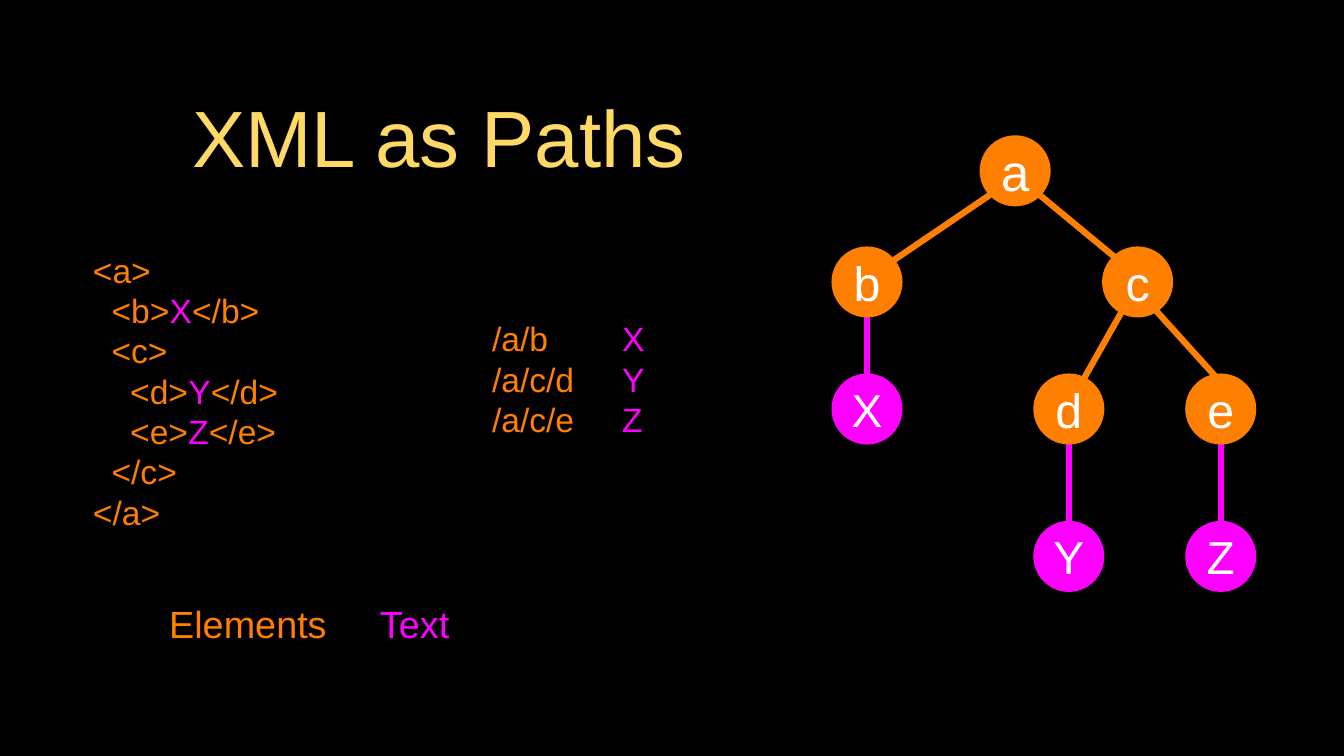
from pptx import Presentation
from pptx.dml.color import RGBColor
from pptx.enum.shapes import MSO_CONNECTOR, MSO_SHAPE
from pptx.enum.text import MSO_ANCHOR, PP_ALIGN
from pptx.oxml.ns import qn
from pptx.util import Inches, Pt

CIRCLE = MSO_SHAPE.OVAL
STRAIGHT = MSO_CONNECTOR.STRAIGHT
MIDDLE = MSO_ANCHOR.MIDDLE
LEFT, CENTER = PP_ALIGN.LEFT, PP_ALIGN.CENTER

BLACK, WHITE, GOLD = "000000", "FFFFFF", "FFD966"
ELEMENT, TEXT = "FF7F00", "FF00FF"
FONT = "Arial"
NODE = 0.94

CODE = [
    [("<a>", ELEMENT)],
    [("  <b>", ELEMENT), ("X", TEXT), ("</b>", ELEMENT)],
    [("  <c>", ELEMENT)],
    [("    <d>", ELEMENT), ("Y", TEXT), ("</d>", ELEMENT)],
    [("    <e>", ELEMENT), ("Z", TEXT), ("</e>", ELEMENT)],
    [("  </c>", ELEMENT)],
    [("</a>", ELEMENT)],
]
PATHS = [("/a/b", "X"), ("/a/c/d", "Y"), ("/a/c/e", "Z")]

# label: left, top, font size, colour
NODES = {
    "a": (12.96, 1.79, 49, ELEMENT),
    "b": (11, 3.26, 46, ELEMENT),
    "c": (14.58, 3.26, 46, ELEMENT),
    "X": (11, 4.94, 44, TEXT),
    "d": (13.67, 4.94, 46, ELEMENT),
    "e": (15.68, 4.94, 46, ELEMENT),
    "Y": (13.67, 6.89, 44, TEXT),
    "Z": (15.68, 6.89, 44, TEXT),
}
# x, top, bottom
LEAF_LINES = [(11.47, 4.03, 5.16), (14.14, 5.8, 6.93), (16.15, 5.8, 6.93)]
BRANCHES = [
    (13.27, 2.46, 11.68, 3.54),
    (13.67, 2.51, 14.83, 3.47),
    (14.87, 4.07, 14.27, 5.13),
    (15.24, 4.05, 16.08, 4.98),
]


def rgb(color):
    return RGBColor.from_string(color)


def write(shape, lines, size, align=CENTER, inset=0, tab=None):
    """Fill a shape with lines, each a list of (text, colour) runs."""
    tf = shape.text_frame
    frame = {"word_wrap": True, "vertical_anchor": MIDDLE}
    for side in ("left", "top", "right", "bottom"):
        frame["margin_" + side] = Inches(inset)
    for name, value in frame.items():
        setattr(tf, name, value)
    for i, line in enumerate(lines):
        p = tf.add_paragraph() if i else tf.paragraphs[0]
        if tab:
            add_tab(p, tab)
        p.alignment = align
        p.line_spacing = Pt(size * 1.2)
        for text, color in line:
            r = p.add_run()
            r.text = text
            for name, value in {"name": FONT, "size": Pt(size)}.items():
                setattr(r.font, name, value)
            r.font.color.rgb = rgb(color)


def add_tab(p, position):
    tabs = p._p.get_or_add_pPr().makeelement(qn("a:tabLst"), {})
    tab = tabs.makeelement(qn("a:tab"), {"pos": str(Inches(position)), "algn": "l"})
    tabs.append(tab)
    p._p.get_or_add_pPr().append(tabs)


def add_title(s, text):
    title = s.shapes.title
    box = {"left": 1.26, "top": 0.83, "width": 9.1, "height": 1.94}
    for name, value in box.items():
        setattr(title, name, Inches(value))
    write(title, [[(text, GOLD)]], 76, inset=0.04)


def add_text(s, box, lines, size, **options):
    write(s.shapes.add_textbox(*map(Inches, box)), lines, size, **options)


def add_line(tree, x1, y1, x2, y2, color):
    line = tree.shapes.add_connector(STRAIGHT, *map(Inches, (x1, y1, x2, y2)))
    line.line.color.rgb = rgb(color)
    line.line.width = Pt(6)
    sp_pr = line._element.spPr
    sp_pr.append(sp_pr.makeelement(qn("a:effectLst"), {}))


def add_node(tree, label, left, top, size, color):
    node = tree.shapes.add_shape(CIRCLE, *map(Inches, (left, top, NODE, NODE)))
    node.shadow.inherit = False
    node.fill.solid()
    node.fill.fore_color.rgb = rgb(color)
    node.line.fill.background()
    write(node, [[(label, WHITE)]], size)


def add_tree(s):
    tree = s.shapes.add_group_shape()
    for x, top, bottom in LEAF_LINES:
        add_line(tree, x, top, x, bottom, TEXT)
    for label, node in NODES.items():
        add_node(tree, label, *node)
    for branch in BRANCHES:
        add_line(tree, *branch, ELEMENT)


def main():
    prs = Presentation()
    prs.slide_width, prs.slide_height = Inches(17.78), Inches(10)
    s = prs.slides.add_slide(prs.slide_layouts[5])
    s.background.fill.solid()
    s.background.fill.fore_color.rgb = rgb(BLACK)

    add_title(s, "XML as Paths")
    add_text(s, (1.23, 3.05, 2.7, 4.24), CODE, 32, align=LEFT)
    add_tree(s)
    rows = [[(route + "\t", ELEMENT), (value, TEXT)] for route, value in PATHS]
    add_text(s, (6.51, 4.09, 2.95, 1.84), rows, 32, align=LEFT, tab=1.72)
    add_text(s, (2.12, 7.9, 2.32, 0.68), [[("Elements", ELEMENT)]], 36)
    add_text(s, (4.98, 7.9, 1.01, 0.68), [[("Text", TEXT)]], 36)
    prs.save("out.pptx")


if __name__ == "__main__":
    main()
